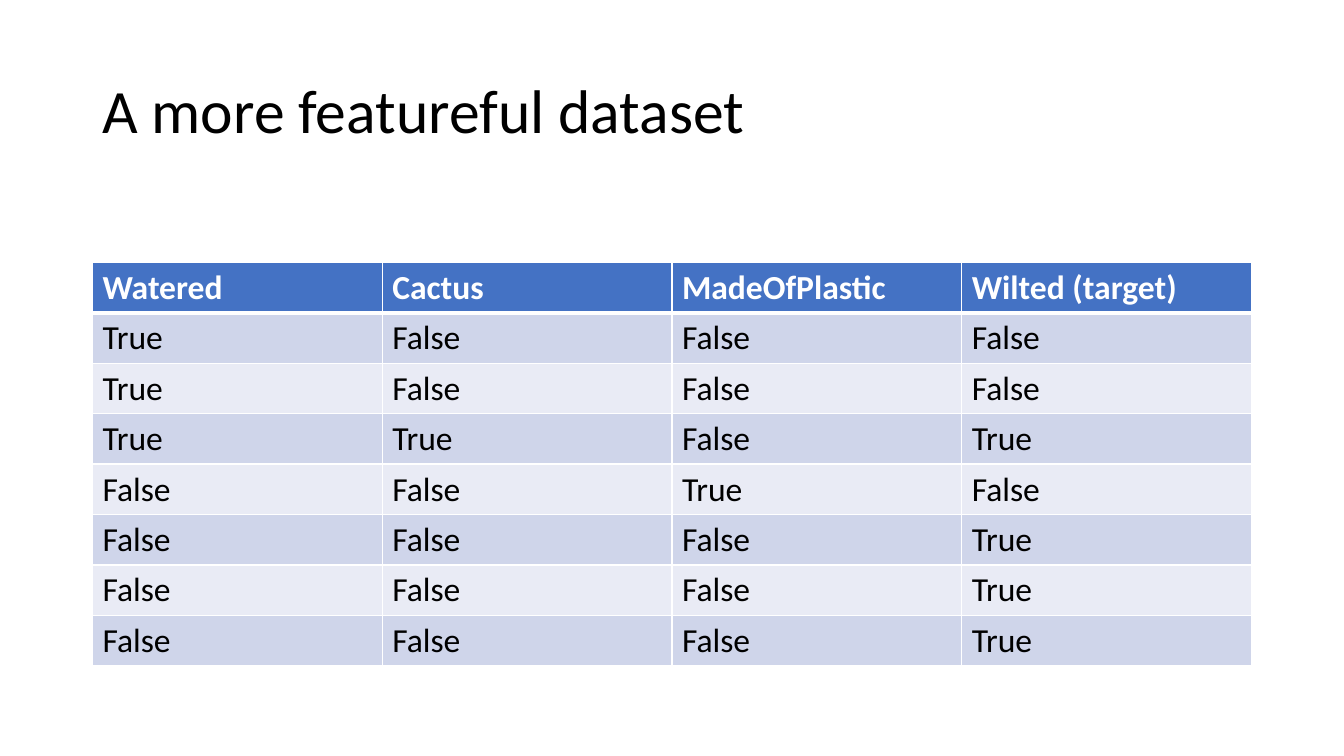
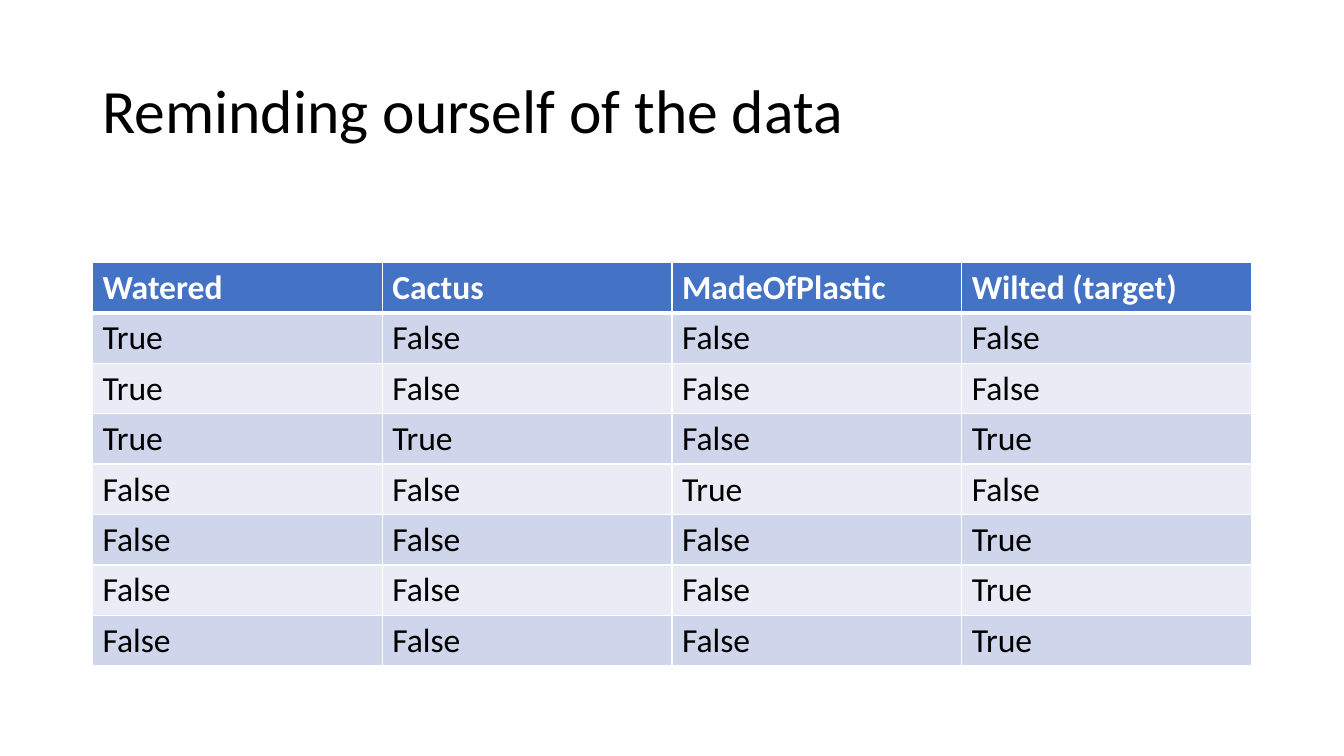
from lxml.etree import SubElement
from pptx import Presentation
from pptx.dml.color import RGBColor
from pptx.enum.text import MSO_ANCHOR
from pptx.oxml.ns import qn
from pptx.util import Cm, Pt

HUES = {"ink": "000000", "white": "FFFFFF", "head": "4472C4",
        "odd": "CFD5EA", "even": "E9EBF5"}
FONT = "Calibri"
LEFT, WIDTH = 2.33, 29.21
TITLES = ["A more featureful dataset", "Reminding ourself of the data"]
DATA = [
    ["Watered", "Cactus", "MadeOfPlastic", "Wilted (target)"],
    ["True", "False", "False", "False"],
    ["True", "False", "False", "False"],
    ["True", "True", "False", "True"],
    ["False", "False", "True", "False"],
    ["False", "False", "False", "True"],
    ["False", "False", "False", "True"],
    ["False", "False", "False", "True"],
]


def write(frame, text, size=24, hue="ink", bold=False, space=1.0):
    para = frame.paragraphs[0]
    para.line_spacing = space
    run = para.add_run()
    run.text = text
    font = run.font
    font.name, font.size, font.bold = FONT, Pt(size), bold
    font.color.rgb = RGBColor.from_string(HUES[hue])


class Deck:
    """Holds the shared style and the current slide."""

    def __init__(self):
        self.file = Presentation()
        self.file.slide_width = Cm(33.87)
        self.file.slide_height = Cm(19.05)
        self.slide = None

    def page(self, title):
        self.slide = self.file.slides.add_slide(self.file.slide_layouts[6])
        self.title(title)

    def title(self, text):
        box = self.slide.shapes.add_textbox(
            Cm(LEFT), Cm(1.01), Cm(WIDTH), Cm(3.68))
        frame = box.text_frame
        frame.word_wrap = True
        frame.vertical_anchor = MSO_ANCHOR.MIDDLE
        write(frame, text, size=44, space=0.9)

    def edge(self, cell, **sides):
        props = cell._tc.get_or_add_tcPr()
        for side, width in sides.items():
            line = SubElement(props, qn(f"a:ln{side}"), w=str(Pt(width)))
            fill = SubElement(line, qn("a:solidFill"))
            SubElement(fill, qn("a:srgbClr"), val=HUES["white"])

    def cell(self, cell, text, row):
        head = row == 0
        self.edge(cell, L=1, R=1, T=3 if row == 1 else 1, B=3 if head else 1)
        band = "head" if head else "odd" if row % 2 else "even"
        cell.fill.solid()
        cell.fill.fore_color.rgb = RGBColor.from_string(HUES[band])
        write(cell.text_frame, text, hue="white" if head else "ink", bold=head)

    def table(self, data, top=6.61, step=1.27):
        rows, cols = len(data), len(data[0])
        grid = self.slide.shapes.add_table(
            rows, cols, Cm(LEFT), Cm(top), Cm(WIDTH), Cm(step * rows)).table
        for row, line in enumerate(data):
            for col, text in enumerate(line):
                self.cell(grid.cell(row, col), text, row)

    def save(self):
        self.file.save("out.pptx")


def main():
    deck = Deck()
    for title in TITLES:
        deck.page(title)
        deck.table(DATA)
    deck.save()


if __name__ == "__main__":
    main()
